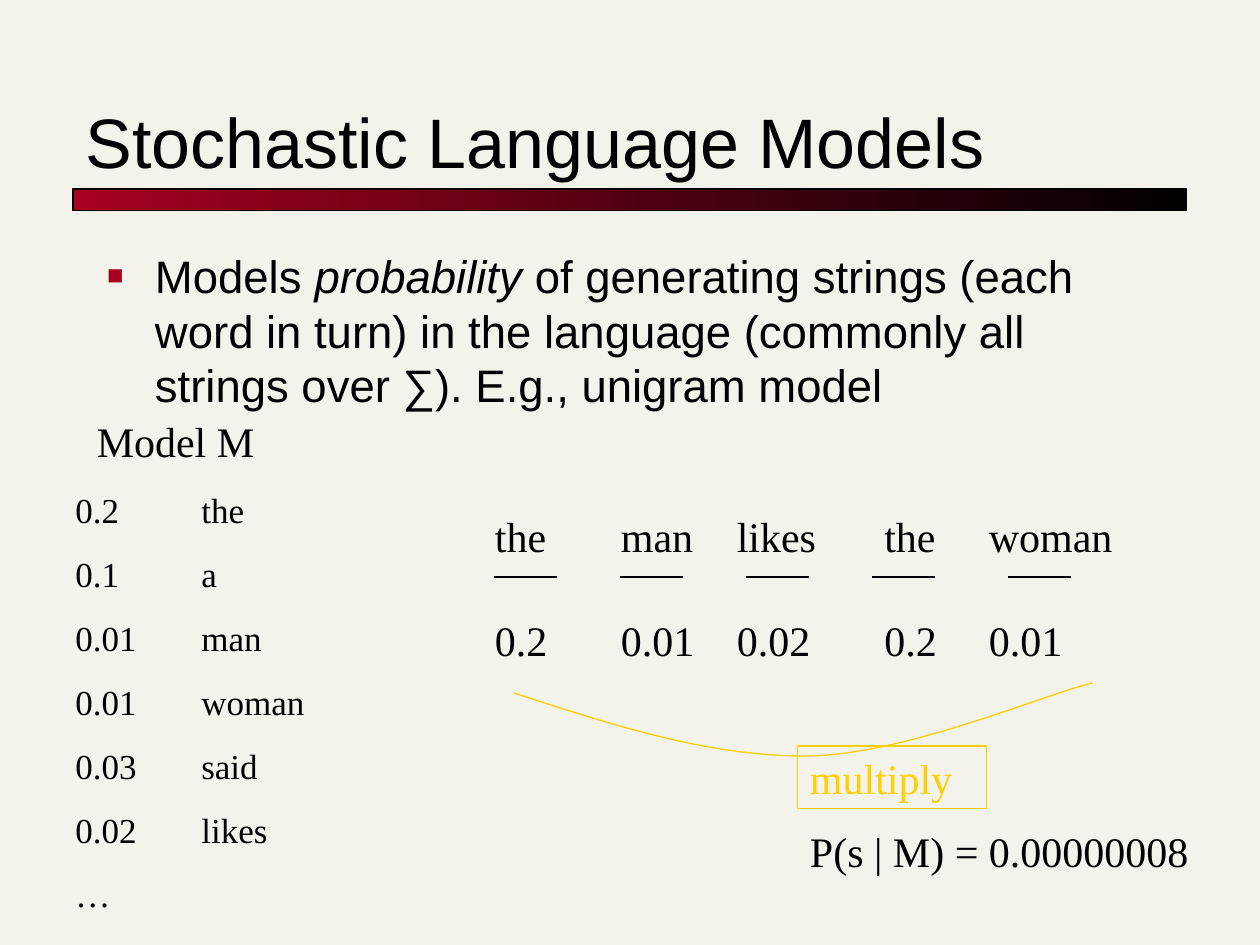
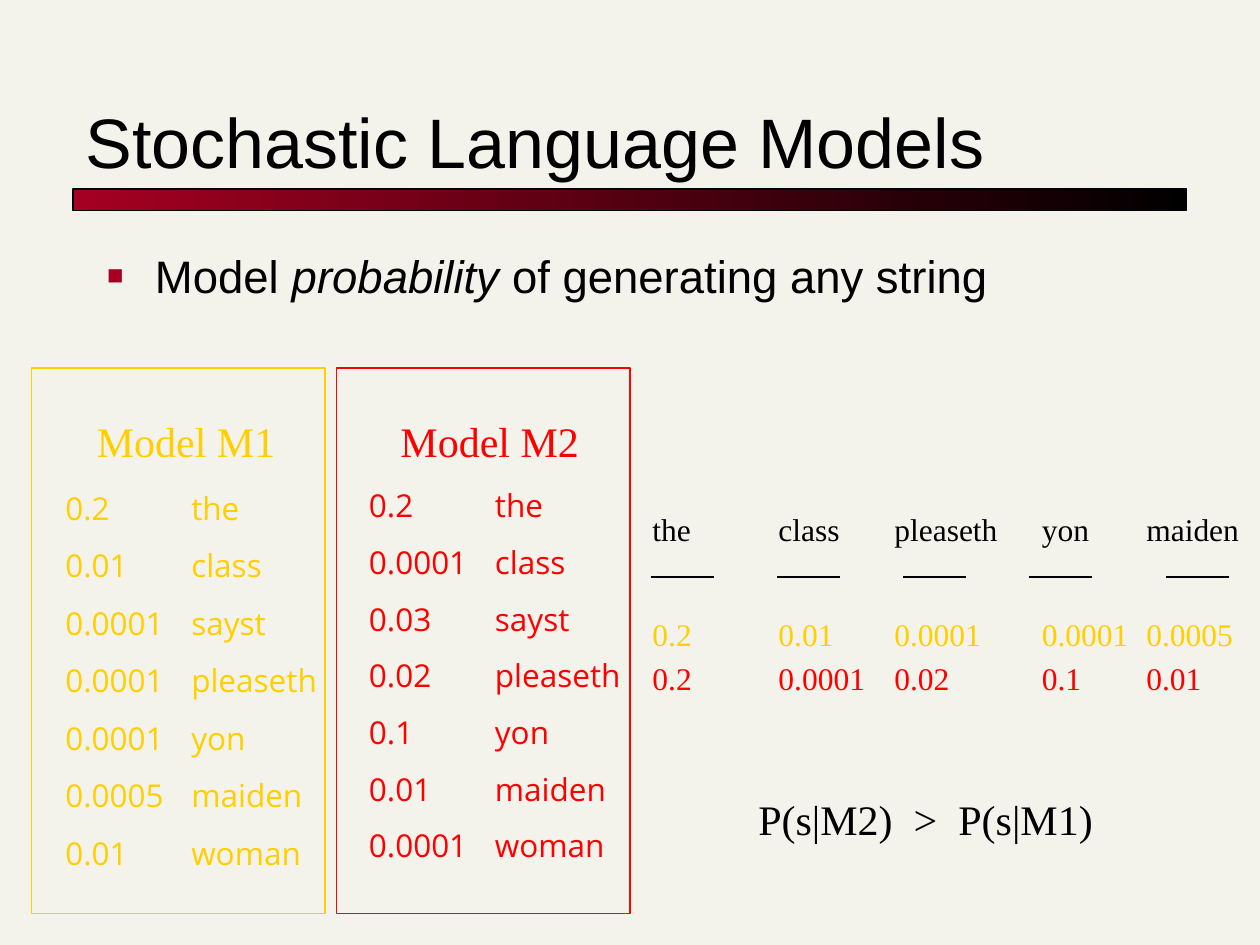
"""Build two slides on stochastic language models."""
import pptx
import pptx.util
import pptx.dml.color
import pptx.enum.shapes
import pptx.enum.text
import pptx.oxml
import pptx.oxml.ns

Inches, Pt = pptx.util.Inches, pptx.util.Pt
RECT = pptx.enum.shapes.MSO_SHAPE.RECTANGLE
STRAIGHT = pptx.enum.shapes.MSO_CONNECTOR.STRAIGHT
TOP = pptx.enum.text.MSO_ANCHOR.TOP
BOTTOM = pptx.enum.text.MSO_ANCHOR.BOTTOM
NO_FIT = pptx.enum.text.MSO_AUTO_SIZE.NONE
GROW = pptx.enum.text.MSO_AUTO_SIZE.SHAPE_TO_FIT_TEXT
BLACK, MAROON, YELLOW, RED, CREAM = "000000", "A50021", "FFCF01", "FF0000", "F4F3EB"
SERIF, SANS, LIST_SANS = "Times New Roman", "Arial", "Open Sans"
HAIRLINE = Pt(0.75)
NS = pptx.oxml.ns.nsdecls("a")
BULLET = [
    f'<a:buClr {NS}><a:srgbClr val="{MAROON}"/></a:buClr>',
    f'<a:buSzPct {NS} val="60000"/>',
    f'<a:buFont {NS} typeface="Arial"/>',
    f'<a:buChar {NS} char="■"/>',
]
WORD_TAB = f'<a:tabLst {NS}><a:tab pos="{Inches(1)}" algn="l"/></a:tabLst>'


def rgb(value):
    """Turn a hex string into a colour."""
    return pptx.dml.color.RGBColor.from_string(value)


def write(sp, box, lines, size=24, color=BLACK, font=SERIF, frame=None, para=None):
    """Place a shape and fill it with lines, where asterisks enclose italics."""
    for name, value in zip(("left", "top", "width", "height"), box):
        setattr(sp, name, Inches(value))
    tf = sp.text_frame
    frame = {"word_wrap": True, "vertical_anchor": TOP, "auto_size": GROW, **(frame or {})}
    for name, value in frame.items():
        setattr(tf, name, value)
    para = {"alignment": pptx.enum.text.PP_ALIGN.LEFT, "space_before": Pt(size * 0.625),
            **(para or {})}
    for i, line in enumerate(lines):
        p = tf.add_paragraph() if i else tf.paragraphs[0]
        for name, value in para.items():
            setattr(p, name, value)
        if "\t" in line:
            p._p.get_or_add_pPr().append(pptx.oxml.parse_xml(WORD_TAB))
        for j, part in enumerate(line.split("*")):
            r = p.add_run()
            r.text = part
            r.font.color.rgb = rgb(color)
            for name, value in {"size": Pt(size), "name": font, "italic": j == 1}.items():
                setattr(r.font, name, value)


prs = pptx.Presentation()
prs.slide_width, prs.slide_height = Inches(10), Inches(7.5)
master = prs.slide_master
master.background.fill.solid()
master.background.fill.fore_color.rgb = rgb(CREAM)

contents = [
    {
        "body": "Models *probability* of generating strings (each word in turn) in the "
                "language (commonly all strings over ∑). E.g., unigram model",
        "body_height": 1.5,
        "shift": 0,
        "size": 24,
        "widths": [0.67, 0.83, 0.83, 0.83, 1.5],
        "rows": [
            (4, BLACK, ["the", "man", "likes", "the", "woman"]),
            (4.83, BLACK, ["0.2", "0.01", "0.02", "0.2", "0.01"]),
        ],
        "labels": [
            ((0.67, 3.25, 1.5, 0.5), "Model M", BLACK),
            ((6.33, 6.5, 3.25, 0.5), "P(s | M) = 0.00000008", BLACK),
        ],
    },
    {
        "body": "Model *probability* of generating any string",
        "body_height": 1.19,
        "shift": 1.25,
        "size": 18,
        "widths": [0.83, 0.92, 1.08, 1, 1],
        "rows": [
            (4, BLACK, ["the", "class", "pleaseth", "yon", "maiden"]),
            (4.83, YELLOW, ["0.2", "0.01", "0.0001", "0.0001", "0.0005"]),
            (5.18, RED, ["0.2", "0.0001", "0.02", "0.1", "0.01"]),
        ],
        "labels": [
            ((0.67, 3.25, 1.75, 0.5), "Model M1", YELLOW),
            ((3.08, 3.25, 1.75, 0.5), "Model M2", RED),
            ((5.92, 6.25, 2.92, 0.5), "P(s|M2)  >  P(s|M1)", BLACK),
        ],
    },
]
column_lefts = [3.83, 4.83, 5.75, 6.92, 7.75]
rule_lefts = [3.92, 4.92, 5.92, 6.92, 8]

slides = []
for content in contents:
    s = prs.slides.add_slide(prs.slide_layouts[1])
    slides.append(s)
    write(s.shapes.title, (0.58, 0.42, 8.83, 1.08), ["Stochastic Language Models"], 40,
          font=SANS, frame={"vertical_anchor": BOTTOM, "auto_size": NO_FIT},
          para={"space_before": Pt(0)})
    body = s.placeholders[1]
    write(body, (0.75, 1.92, 8.5, content["body_height"]), [content["body"]], 26,
          font=SANS, frame={"auto_size": NO_FIT}, para={"space_before": Pt(6.5)})
    pPr = body.text_frame.paragraphs[0]._p.get_or_add_pPr()
    pPr.set("marL", str(Inches(0.38)))
    pPr.set("indent", str(Inches(-0.38)))
    for xml in BULLET:
        pPr.append(pptx.oxml.parse_xml(xml))

    for top, color, words in content["rows"]:
        for left, width, word in zip(column_lefts, content["widths"], words):
            write(s.shapes.add_textbox(0, 0, 0, 0),
                  (left + content["shift"], top, width, content["size"] / 48),
                  [word], content["size"], color)
    rules = s.shapes.add_group_shape()
    for left in rule_lefts:
        x = left + content["shift"]
        rule = rules.shapes.add_connector(
            STRAIGHT, Inches(x), Inches(4.58), Inches(x + 0.5), Inches(4.58))
        rule.line.color.rgb = rgb(BLACK)
        rule.line.width = HAIRLINE
        rule._element.spPr.append(pptx.oxml.parse_xml(f"<a:effectLst {NS}/>"))
    for box, label, color in content["labels"]:
        write(s.shapes.add_textbox(0, 0, 0, 0), box, [label], color=color)

unigram, comparison = slides

bar = unigram.shapes.add_shape(RECT, Inches(0.58), Inches(1.5), Inches(8.84), Inches(0.17))
bar.shadow.inherit = False
bar.fill.gradient()
bar.fill.gradient_angle = 180
for stop, color, position in zip(bar.fill.gradient_stops, (BLACK, MAROON), (0, 1)):
    stop.color.rgb = rgb(color)
    stop.position = position
bar.line.color.rgb = rgb(BLACK)
bar.line.width = HAIRLINE
bar._element.nvSpPr.cNvPr.set("id", "99")
master.shapes._spTree.append(bar._element)

write(unigram.shapes.add_textbox(0, 0, 0, 0), (0.5, 3.83, 2.67, 3.48),
      ["0.2\tthe", "0.1\ta", "0.01\tman", "0.01\twoman", "0.03\tsaid", "0.02\tlikes", "…"], 20)

brace_segments = [
    [(4.08, 5.5), (4.87, 5.76), (5.65, 6.01), (6.42, 6)],
    [(6.42, 6), (7.18, 5.99), (8.29, 5.51), (8.67, 5.42)],
]
steps = 16
points = []
for segment in brace_segments:
    for i in range(1, steps + 1):
        t = i / steps
        weights = ((1 - t) ** 3, 3 * t * (1 - t) ** 2, 3 * t ** 2 * (1 - t), t ** 3)
        points.append([Inches(sum(w * c for w, c in zip(weights, axis)))
                       for axis in zip(*segment)])
start_x, start_y = brace_segments[0][0]
builder = unigram.shapes.build_freeform(Inches(start_x), Inches(start_y))
builder.add_line_segments(points, close=False)
brace = builder.convert_to_shape()
multiply = unigram.shapes.add_shape(RECT, 0, 0, 0, 0)
write(multiply, (6.33, 5.92, 1.5, 0.5), ["multiply"], color=YELLOW)

frames = [(brace, YELLOW), (multiply, YELLOW)]
for left, color in ((0.25, YELLOW), (2.67, RED)):
    panel = comparison.shapes.add_shape(
        RECT, Inches(left), Inches(2.92), Inches(2.33), Inches(4.33))
    frames.append((panel, color))
for sp, color in frames:
    sp.shadow.inherit = False
    sp.fill.background()
    sp.line.color.rgb = rgb(color)
    sp.line.width = HAIRLINE

vocabulary = ["the", "class", "sayst", "pleaseth", "yon", "maiden", "woman"]
models = [
    ((0.42, 3.83, 2.67, 3.14), YELLOW, {}, {},
     ["0.2", "0.01", "0.0001", "0.0001", "0.0001", "0.0005", "0.01"]),
    ((2.83, 3.66, 2.2, 3.25), RED, {"word_wrap": False},
     {"space_before": Pt(0), "line_spacing": 1.5},
     ["0.2", "0.0001", "0.03", "0.02", "0.1", "0.01", "0.0001"]),
]
for box, color, frame, para, chances in models:
    lines = [f"{chance}\t{word}" for chance, word in zip(chances, vocabulary)]
    write(comparison.shapes.add_textbox(0, 0, 0, 0), box, lines, 18, color, LIST_SANS,
          frame, para)

prs.save("out.pptx")
